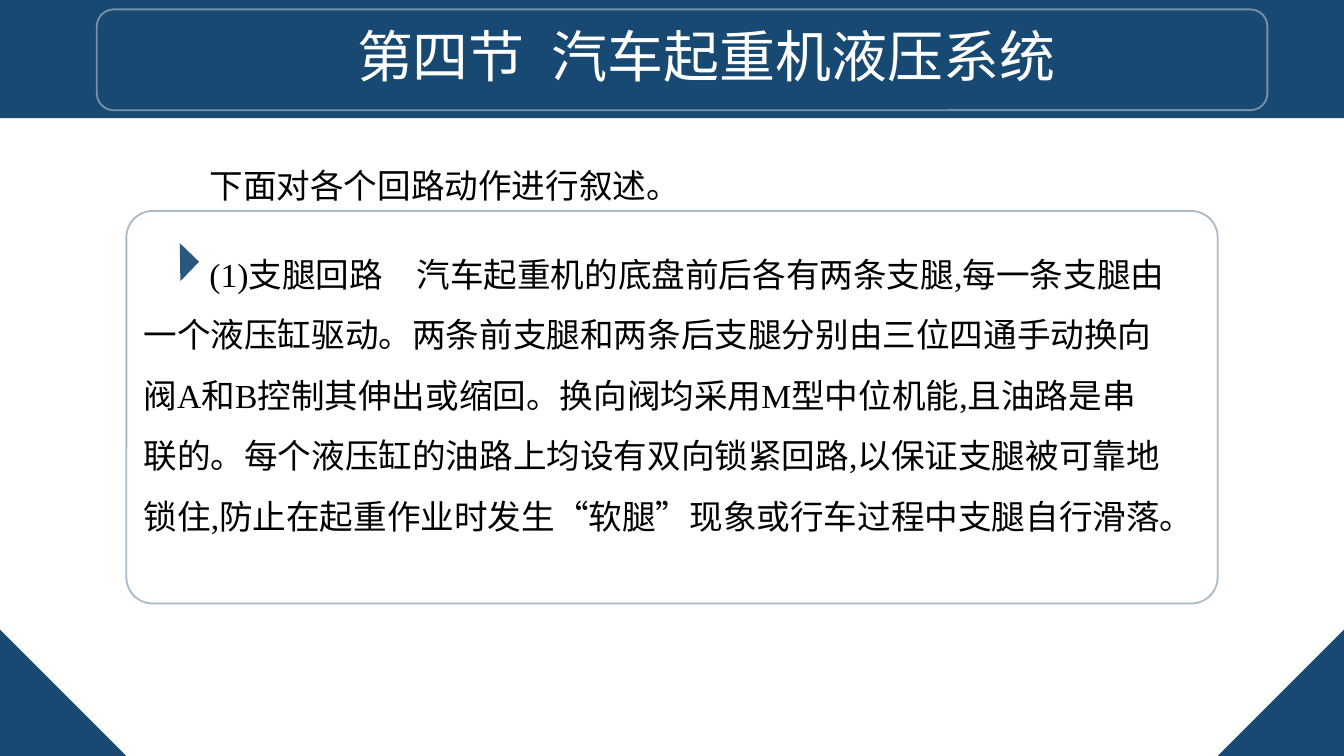
"""Build the slide on the hydraulic system of a truck crane."""
from lxml import etree
from pptx import Presentation
from pptx.dml.color import RGBColor
from pptx.enum.shapes import MSO_SHAPE
from pptx.enum.text import MSO_AUTO_SIZE, PP_ALIGN
from pptx.oxml.ns import qn
from pptx.util import Inches, Pt

RECT = MSO_SHAPE.RECTANGLE
ROUND = MSO_SHAPE.ROUNDED_RECTANGLE
TRIANGLE = MSO_SHAPE.RIGHT_TRIANGLE
GROW = MSO_AUTO_SIZE.SHAPE_TO_FIT_TEXT
LEFT, CENTER = PP_ALIGN.LEFT, PP_ALIGN.CENTER

NAVY = RGBColor(0x18, 0x49, 0x72)
WHITE = RGBColor(0xFF, 0xFF, 0xFF)
BLACK = RGBColor(0x00, 0x00, 0x00)
FONT = "Times New Roman"

SLIDE_W = 10
SLIDE_H = SLIDE_W * 9 / 16
CORNER = 0.94
INTRO = "下面对各个回路动作进行叙述。"
BODY = (
    "(1)支腿回路　汽车起重机的底盘前后各有两条支腿,每一条支腿由一个液压缸驱动。"
    "两条前支腿和两条后支腿分别由三位四通手动换向阀A和B控制其伸出或缩回。"
    "换向阀均采用M型中位机能,且油路是串联的。"
    "每个液压缸的油路上均设有双向锁紧回路,以保证支腿被可靠地锁住,"
    "防止在起重作业时发生“软腿”现象或行车过程中支腿自行滑落。"
)


class SlideBuilder:
    def __init__(self, s):
        self.s = s

    def set_alpha(self, fill_parent, percent):
        color = fill_parent.find(qn("a:solidFill"))[0]
        etree.SubElement(color, qn("a:alpha")).set("val", str(percent * 1000))

    def solid(self, kind, x, y, w, h, rotation=0, alpha=100):
        sp = self.s.shapes.add_shape(kind, Inches(x), Inches(y), Inches(w), Inches(h))
        sp.shadow.inherit = False
        sp.fill.solid()
        sp.fill.fore_color.rgb = NAVY
        sp.line.fill.background()
        sp.rotation = rotation
        if alpha < 100:
            self.set_alpha(sp._element.spPr, alpha)

    def frame(self, x, y, w, h, color, alpha, radius=0.167):
        sp = self.s.shapes.add_shape(ROUND, Inches(x), Inches(y), Inches(w), Inches(h))
        sp.shadow.inherit = False
        sp.adjustments[0] = radius
        sp.fill.background()
        sp.line.color.rgb = color
        sp.line.width = Pt(1)
        self.set_alpha(sp._element.spPr.find(qn("a:ln")), alpha)

    def text(self, x, y, w, h, runs, size, color, align=LEFT, indent=0, spacing=1.0):
        sp = self.s.shapes.add_textbox(Inches(x), Inches(y), Inches(w), Inches(h))
        tf = sp.text_frame
        tf.word_wrap = True
        tf.auto_size = GROW
        p = tf.paragraphs[0]
        p.alignment = align
        p.line_spacing = spacing
        if indent:
            p._p.get_or_add_pPr().set("indent", str(Inches(indent)))
        for words, tracking in runs:
            r = p.add_run()
            r.text = words
            r.font.name = FONT
            r.font.size = Pt(size)
            r.font.color.rgb = color
            if tracking:
                r._r.get_or_add_rPr().set("spc", str(int(tracking * 100)))


def main():
    prs = Presentation()
    prs.slide_width, prs.slide_height = Inches(SLIDE_W), Inches(SLIDE_H)
    b = SlideBuilder(prs.slides.add_slide(prs.slide_layouts[6]))

    b.solid(RECT, 0, 0, SLIDE_W, 0.88)
    b.frame(0.72, 0.07, 8.71, 0.75, WHITE, 40)
    title = [("第四节", 0), (" ", 7.5), ("汽车起重机液压系统", 0)]
    b.text(1.08, 0.11, 8.35, 0.61, title, 30, WHITE, CENTER)

    for x, rotation in ((0, 0), (SLIDE_W - CORNER, 270)):
        b.solid(TRIANGLE, x, SLIDE_H - CORNER, CORNER, CORNER, rotation)

    b.text(0.97, 1.03, 8.63, 0.5, [(INTRO, 0)], 18, BLACK, indent=0.49, spacing=1.5)
    b.solid(TRIANGLE, 1.24, 1.85, 0.2, 0.2, 224, 92)
    b.frame(0.94, 1.57, 8.12, 2.92, NAVY, 36, 0.067)
    b.text(0.97, 1.69, 7.8, 2.37, [(BODY, 0)], 18, BLACK, indent=0.49, spacing=1.5)

    prs.save("out.pptx")


if __name__ == "__main__":
    main()
